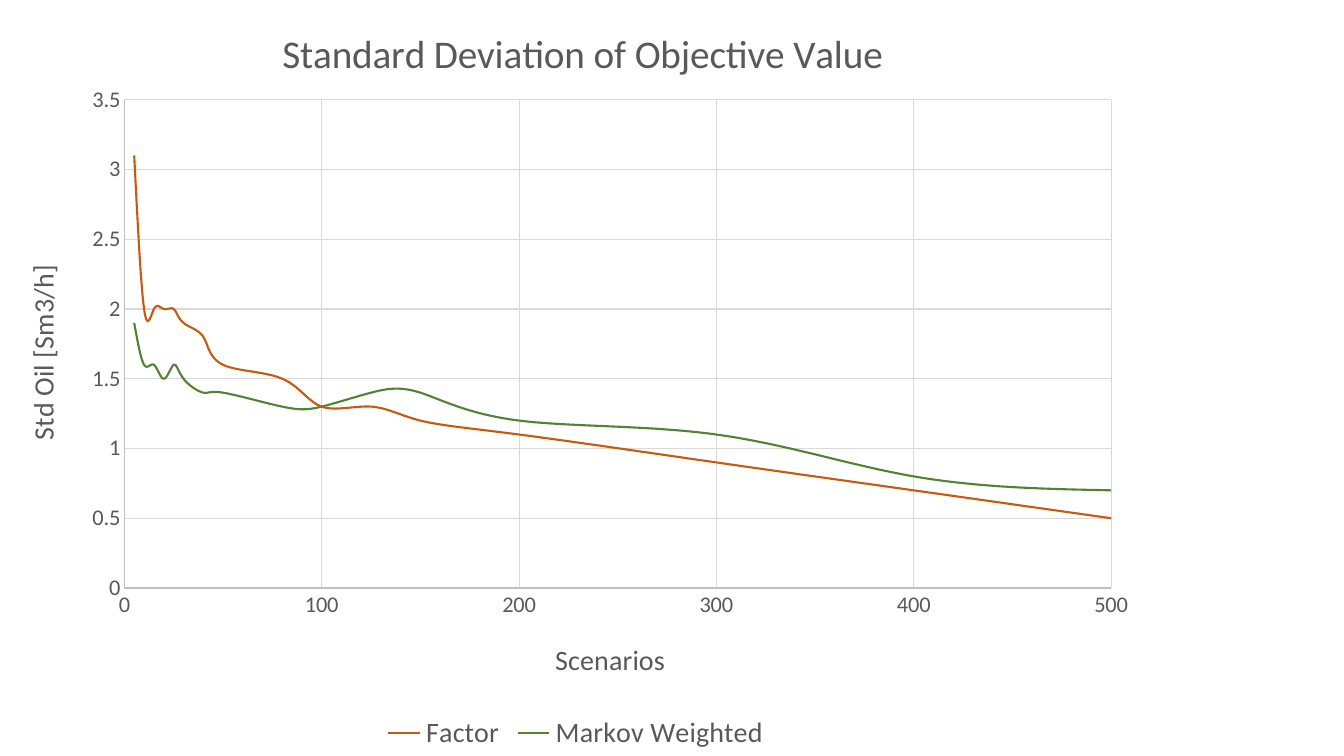
from pptx import Presentation
from pptx.chart.data import XyChartData
from pptx.dml.color import RGBColor
from pptx.enum.chart import XL_CHART_TYPE as ChartType, XL_LEGEND_POSITION as LegendPosition
from pptx.enum.chart import XL_TICK_MARK as TickMark
from pptx.oxml import parse_xml
from pptx.oxml.ns import nsdecls, qn
from pptx.util import Inches, Pt

TEXT_GREY = RGBColor(0x59, 0x59, 0x59)
AXIS_GREY = RGBColor(0xBF, 0xBF, 0xBF)
GRID_GREY = RGBColor(0xD9, 0xD9, 0xD9)
ORANGE = RGBColor(0xC5, 0x5A, 0x11)
GREEN = RGBColor(0x54, 0x82, 0x35)
FONT = "Calibri"

SCENARIOS = [5, 10, 15, 20, 25, 30, 40, 50, 80, 100, 125, 150, 200, 300, 400, 500]
DEVIATIONS = {
    "Factor": (ORANGE, [3.1, 2, 2, 2, 2, 1.9, 1.8, 1.6,
                        1.5, 1.3, 1.3, 1.2, 1.1, 0.9, 0.7, 0.5]),
    "Markov Weighted": (GREEN, [1.9, 1.6, 1.6, 1.5, 1.6, 1.5, 1.4, 1.4,
                                1.3, 1.3, 1.4, 1.4, 1.2, 1.1, 0.8, 0.7]),
}


def style_font(font, size):
    font.name = FONT
    font.size = Pt(size)
    font.bold = False
    font.color.rgb = TEXT_GREY


def style_line(line, color, width):
    line.color.rgb = color
    line.width = Pt(width)


def set_title(owner, text, size):
    frame = owner.text_frame
    frame.text = text
    style_font(frame.paragraphs[0].font, size)
    return frame


def style_axis(axis, title, maximum, step):
    axis.minimum_scale = 0
    axis.maximum_scale = maximum
    axis.major_unit = step
    axis.major_tick_mark = axis.minor_tick_mark = TickMark.NONE
    axis.has_major_gridlines = True
    style_line(axis.major_gridlines.format.line, GRID_GREY, 0.75)
    style_line(axis.format.line, AXIS_GREY, 0.75)
    style_font(axis.tick_labels.font, 16)
    return set_title(axis.axis_title, title, 20)


def place_part(part, index, target="", **shares):
    for layout in part.findall(qn("c:layout")):
        part.remove(layout)
    places = "".join(f'<c:{key} val="{share}"/>' for key, share in shares.items())
    part.insert(index, parse_xml(
        f'<c:layout {nsdecls("c")}><c:manualLayout>{target}'
        f'<c:xMode val="edge"/><c:yMode val="edge"/>{places}</c:manualLayout></c:layout>'))


def add_deviation_chart(slide, left, top, width, height):
    data = XyChartData()
    for name, (_, deviations) in DEVIATIONS.items():
        curve = data.add_series(name)
        for scenario, deviation in zip(SCENARIOS, deviations):
            curve.add_data_point(scenario, deviation)
    chart = slide.shapes.add_chart(
        ChartType.XY_SCATTER_SMOOTH_NO_MARKERS, left, top, width, height, data).chart
    chart.font.name = FONT
    chart.font.size = Pt(10)
    chart.plots[0].vary_by_categories = False
    for curve in chart.plots[0].series:
        curve._element.get_or_add_smooth().val = True
        style_line(curve.format.line, DEVIATIONS[curve.name][0], 1.5)
    chart.has_title = True
    set_title(chart.chart_title, "Standard Deviation of Objective Value", 28)
    style_axis(chart.category_axis, "Scenarios", 500, 100)
    oil_title = style_axis(chart.value_axis, "Std Oil [Sm3/h]", 3.5, 0.5)
    oil_title._txBody.find(qn("a:bodyPr")).set("rot", "-5400000")
    chart.has_legend = True
    chart.legend.position = LegendPosition.BOTTOM
    chart.legend.include_in_layout = False
    style_font(chart.legend.font, 20)
    return chart


def main():
    deck = Presentation()
    deck.slide_width, deck.slide_height = Inches(13.33), Inches(7.5)
    slide = deck.slides.add_slide(deck.slide_layouts[6])
    chart = add_deviation_chart(
        slide, 0, Inches(-0.07), Inches(11.42), Inches(7.57))
    place_part(chart._chartSpace.chart.plotArea, 0,
               '<c:layoutTarget val="inner"/>', x=0.108, y=0.14, w=0.857, h=0.64)
    place_part(chart.chart_title._element, 1, x=0.239, y=0.035)
    deck.save("out.pptx")


main()
